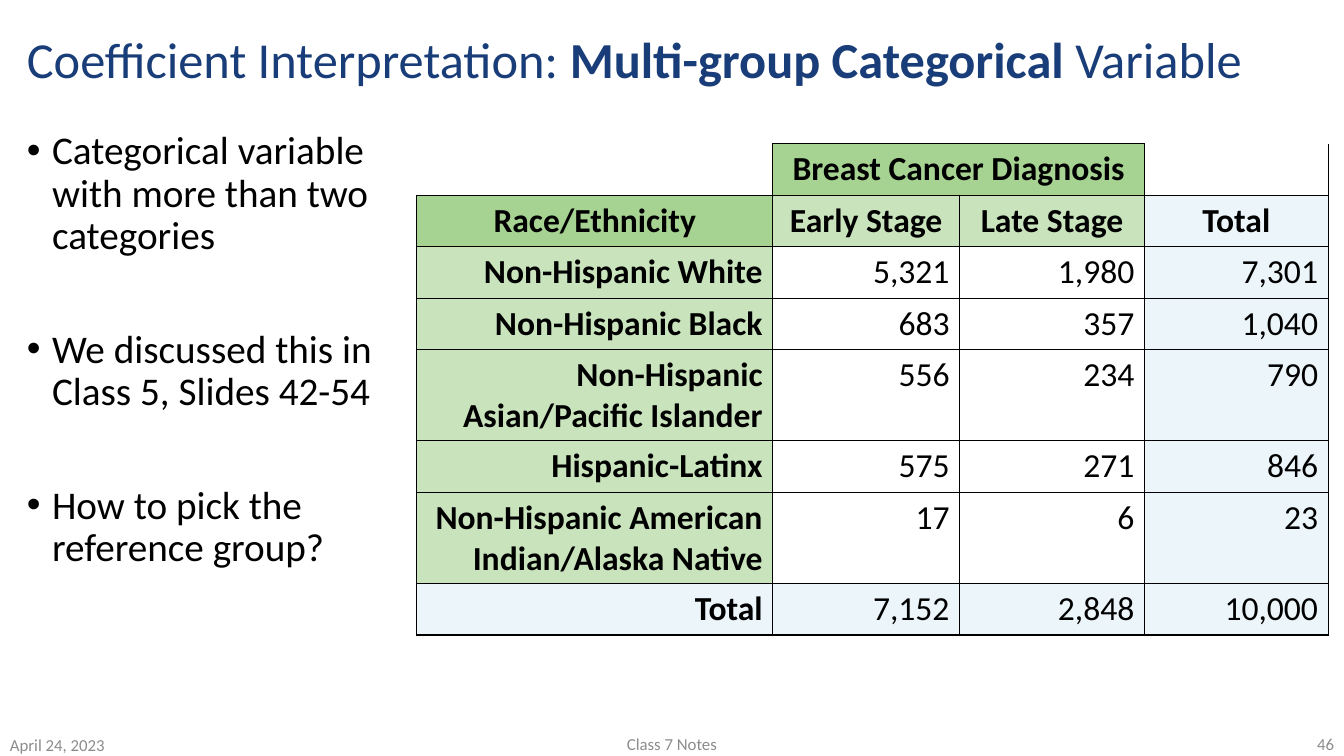
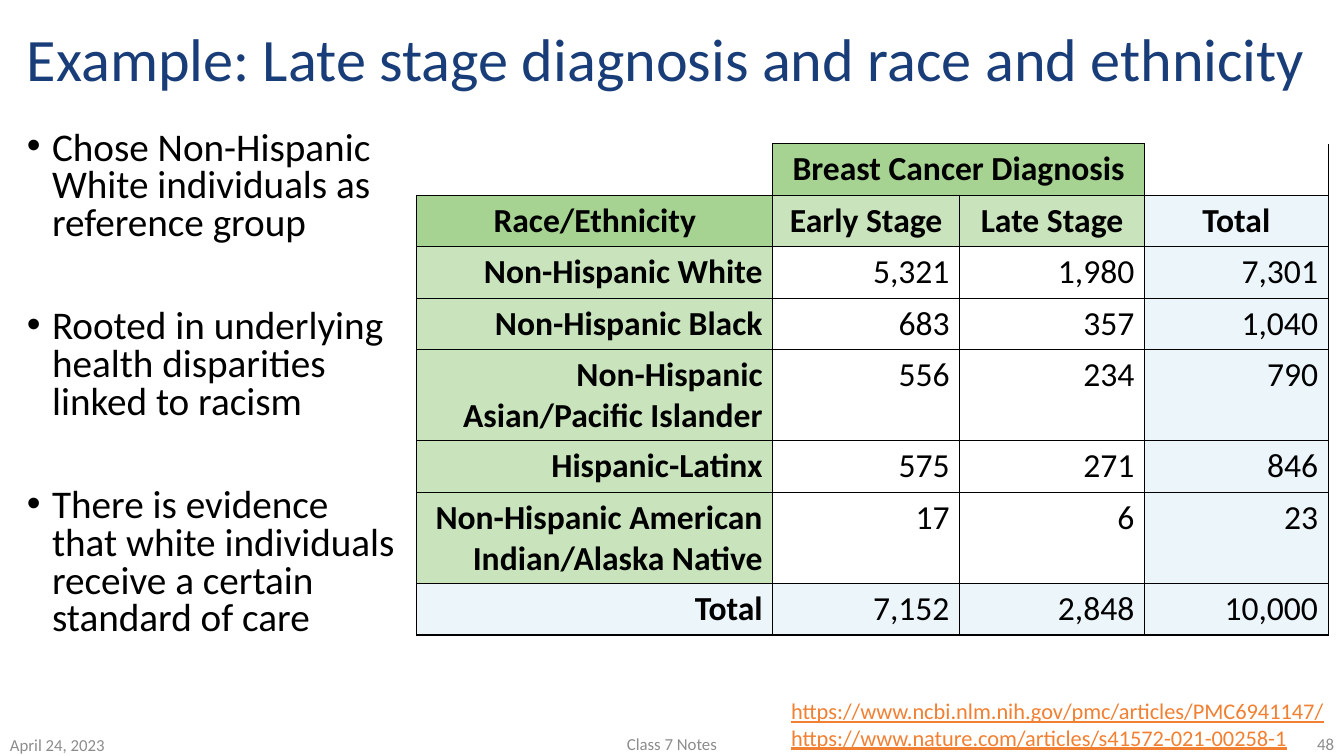
from lxml.etree import SubElement
from pptx import Presentation
from pptx.dml.color import RGBColor
from pptx.enum.text import MSO_ANCHOR as Anchor, MSO_AUTO_SIZE as AutoSize, PP_ALIGN as Align
from pptx.oxml.ns import qn
from pptx.util import Emu, Pt

# Style
FONT = "Calibri"
NAVY = RGBColor(0x19, 0x3D, 0x78)
BLACK = RGBColor(0x00, 0x00, 0x00)
GRAY = RGBColor(0x8C, 0x8C, 0x8C)
ORANGE = RGBColor(0xF1, 0x80, 0x32)
GREEN = RGBColor(0x4E, 0xA7, 0x27)
BLUE = RGBColor(0x4A, 0xA4, 0xD1)
NO_GRID_STYLE = "{2D5ABB26-0587-4C30-8999-92F81FD0307C}"

# Content shared by both slides
DATE = "April 24, 2023"
COURSE = "Class 7 Notes"
DIAGNOSES = [
    ["", "Breast Cancer Diagnosis", "", ""],
    ["Race/Ethnicity", "Early Stage", "Late Stage", "Total"],
    ["Non-Hispanic White", "5,321", "1,980", "7,301"],
    ["Non-Hispanic Black", "683", "357", "1,040"],
    ["Non-Hispanic Asian/Pacific Islander", "556", "234", "790"],
    ["Hispanic-Latinx", "575", "271", "846"],
    ["Non-Hispanic American Indian/Alaska Native", "17", "6", "23"],
    ["Total", "7,152", "2,848", "10,000"],
]
COLUMN_WIDTHS = [339, 178, 176, 175]
ROW_HEIGHTS = [49, 49, 49, 49, 87, 49, 87, 49]
ALL_EDGES = ("L", "R", "T", "B")
CORNER_EDGES = {(0, 0): ("R", "B"), (0, 3): ("L", "B")}


def px(length):
    """96 px to the inch."""
    return Emu(length * 9525)


def cell_tint(row, column):
    """Colour and opacity in percent of one table cell, or None."""
    if (row, column) in CORNER_EDGES:
        return None
    if row == 0 or (row, column) == (1, 0):
        return GREEN, 50
    if column == 3 or row == len(DIAGNOSES) - 1:
        return BLUE, 10
    if row == 1 or column == 0:
        return GREEN, 30
    return None


class Deck:
    def __init__(self):
        self.presentation = Presentation()
        self.presentation.slide_width = px(1280)
        self.presentation.slide_height = px(720)
        self.slide = None

    def add_slide(self, number):
        layout = self.presentation.slide_layouts[1]
        self.slide = self.presentation.slides.add_slide(layout)
        self.text(DATE, (0, 698, 288, 22))
        self.text(COURSE, (424, 696, 432, 24), align=Align.CENTER)
        self.text(number, (992, 696, 288, 24), align=Align.RIGHT)

    def place(self, shape, box):
        shape.left, shape.top, shape.width, shape.height = map(px, box)
        shape.text_frame.auto_size = AutoSize.NONE
        return shape.text_frame

    def style(self, paragraph, size, color, bold=False, underline=False):
        for run in paragraph.runs:
            font = run.font
            font.name, font.size, font.bold = FONT, Pt(size), bold
            font.color.rgb = color
            if underline:
                font.underline = True

    def text(self, words, box, size=12, color=GRAY, align=Align.LEFT,
             anchor=Anchor.MIDDLE, underline=False, wrap=True):
        frame = self.slide.shapes.add_textbox(*map(px, box)).text_frame
        frame.text = words
        frame.word_wrap = wrap
        frame.vertical_anchor = anchor
        for paragraph in frame.paragraphs:
            paragraph.alignment = align
            self.style(paragraph, size, color, underline=underline)

    def title(self, parts, size):
        """Every second part is bold."""
        frame = self.place(self.slide.shapes.title, (16, 15, 1248, 88))
        frame.vertical_anchor = Anchor.MIDDLE
        heading = frame.paragraphs[0]
        heading.alignment = Align.LEFT
        heading.line_spacing = 0.9
        for part in parts:
            heading.add_run().text = part
        self.style(heading, size, NAVY)
        for run in heading.runs[1::2]:
            run.font.bold = True

    def bullets(self, points, line_spacing, gap):
        frame = self.place(self.slide.placeholders[1], (16, 120, 370, 568))
        frame.vertical_anchor = Anchor.TOP
        frame.text = "\n".join(points)
        for index, paragraph in enumerate(frame.paragraphs):
            properties = paragraph._p.get_or_add_pPr()
            properties.set("marL", str(px(24)))
            properties.set("indent", str(px(-24)))
            SubElement(properties, qn("a:buFont"), typeface="Arial")
            SubElement(properties, qn("a:buChar"), char="•")
            paragraph.alignment = Align.LEFT
            paragraph.line_spacing = line_spacing
            paragraph.space_before = Pt(gap if index else 0)
            self.style(paragraph, 28, BLACK)

    def border(self, cell, edges):
        properties = cell._tc.get_or_add_tcPr()
        for edge in edges:
            line = SubElement(properties, qn(f"a:ln{edge}"), w=str(Pt(1)))
            fill = SubElement(line, qn("a:solidFill"))
            SubElement(fill, qn("a:srgbClr"), val=str(BLACK))

    def tint(self, cell, tint):
        if tint is None:
            cell.fill.background()
            return
        color, opacity = tint
        cell.fill.solid()
        cell.fill.fore_color.rgb = color
        swatch = cell._tc.tcPr.find(qn("a:solidFill")).find(qn("a:srgbClr"))
        SubElement(swatch, qn("a:alpha"), val=str(opacity * 1000))

    def diagnosis_table(self):
        box = (397, 137, sum(COLUMN_WIDTHS), sum(ROW_HEIGHTS))
        table = self.slide.shapes.add_table(
            len(ROW_HEIGHTS), len(COLUMN_WIDTHS), *map(px, box)).table
        table.first_row = table.horz_banding = False
        table._tbl.tblPr.find(qn("a:tableStyleId")).text = NO_GRID_STYLE
        for column, width in zip(table.columns, COLUMN_WIDTHS):
            column.width = px(width)
        for row, height in zip(table.rows, ROW_HEIGHTS):
            row.height = px(height)
        table.cell(0, 1).merge(table.cell(0, 2))
        for r, values in enumerate(DIAGNOSES):
            for c, value in enumerate(values):
                cell = table.cell(r, c)
                self.border(cell, CORNER_EDGES.get((r, c), ALL_EDGES))
                self.tint(cell, cell_tint(r, c))
                if value:
                    cell.text = value
                    entry = cell.text_frame.paragraphs[0]
                    entry.alignment = Align.CENTER if r < 2 else Align.RIGHT
                    self.style(entry, 24, BLACK, bold=r < 2 or c == 0)


def main():
    deck = Deck()

    # Multi-group categorical variable
    deck.add_slide("46")
    deck.title(["Coefficient Interpretation: ", "Multi-group Categorical ",
                "Variable"], 36)
    deck.bullets(["Categorical variable with more than two categories",
                  "We discussed this in Class 5, Slides 42-54",
                  "How to pick the reference group?"], 0.9, 51)
    deck.diagnosis_table()

    # Choice of reference group
    deck.add_slide("48")
    deck.title(["Example: Late stage diagnosis and race and ethnicity"], 43)
    deck.bullets(["Chose Non-Hispanic White individuals as reference group",
                  "Rooted in underlying health disparities linked to racism",
                  "There is evidence that white individuals receive a certain "
                  "standard of care"], 0.8, 47)
    deck.diagnosis_table()
    deck.text("https://www.ncbi.nlm.nih.gov/pmc/articles/PMC6941147/\n"
              "https://www.nature.com/articles/s41572-021-00258-1",
              (744, 659, 533, 61), size=16, color=ORANGE,
              anchor=Anchor.TOP, underline=True, wrap=False)

    deck.presentation.save("out.pptx")


if __name__ == "__main__":
    main()
